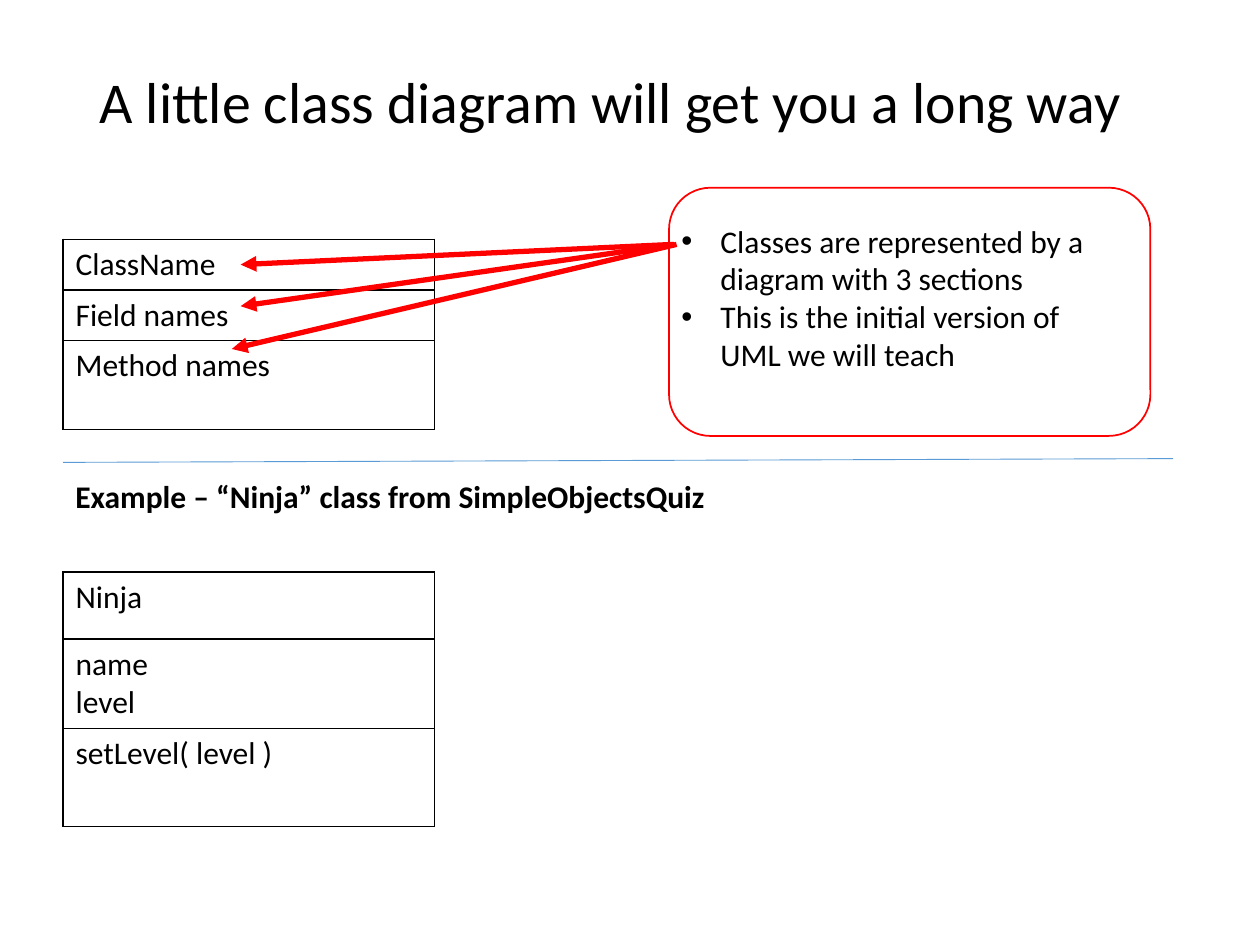
from dataclasses import dataclass

from lxml.etree import SubElement
from pptx import Presentation
from pptx.dml.color import RGBColor as RGB
from pptx.enum.shapes import MSO_CONNECTOR as CONN, MSO_SHAPE as SHAPE
from pptx.enum.text import MSO_ANCHOR as ANCHOR
from pptx.oxml.ns import qn
from pptx.util import Inches, Pt


@dataclass(frozen=True)
class Theme:
    font: str = "Calibri"
    ink: RGB = RGB(0, 0, 0)
    red: RGB = RGB(0xFF, 0, 0)
    blue: RGB = RGB(0x5B, 0x9B, 0xD5)
    title: Pt = Pt(33)
    body: Pt = Pt(18)


T = Theme()


def write(tf, lines, size=T.body, bold=False, bullet=False):
    """Fill a text frame with one paragraph per line."""
    tf.word_wrap = True
    for i, line in enumerate(lines):
        p = tf.paragraphs[0] if i == 0 else tf.add_paragraph()
        if bullet:
            pPr = p._p.get_or_add_pPr()
            pPr.set("marL", str(Inches(0.31)))
            pPr.set("indent", str(-Inches(0.31)))
            SubElement(pPr, qn("a:buFont")).set("typeface", "Arial")
            SubElement(pPr, qn("a:buChar")).set("char", "•")
        r = p.add_run()
        r.text = line
        for name, value in {"name": T.font, "size": size, "bold": bold}.items():
            setattr(r.font, name, value)
        r.font.color.rgb = T.ink


def connect(start, end, color, width, arrow=False):
    """Draw a straight line, with an optional arrowhead at its end."""
    c = s.shapes.add_connector(CONN.STRAIGHT, *map(Inches, start + end))
    c.line.color.rgb = color
    c.line.width = Pt(width)
    if arrow:
        SubElement(c.line._get_or_add_ln(), qn("a:tailEnd")).set("type", "triangle")
    SubElement(c._element.spPr, qn("a:effectLst"))


prs = Presentation()
prs.slide_width, prs.slide_height = Inches(10), Inches(7.5)
s = prs.slides.add_slide(prs.slide_layouts[6])

# Title, callout text and example heading
texts = [
    ((0.69, 0.4, 8.62, 0.86), ["A little class diagram will get you a long way"],
     {"size": T.title}),
    ((5.31, 1.71, 3.45, 1.31), ["Classes are represented by a diagram with 3 sections",
                                "This is the initial version of UML we will teach"],
     {"bullet": True}),
    ((0.5, 3.74, 5.97, 0.4), ["Example – “Ninja” class from SimpleObjectsQuiz"],
     {"bold": True}),
]
for box, lines, style in texts:
    tf = s.shapes.add_textbox(*map(Inches, box)).text_frame
    write(tf, lines, **style)
    if style.get("size") == T.title:
        tf.vertical_anchor = ANCHOR.MIDDLE
        tf.paragraphs[0].line_spacing = 0.9

# Class diagrams: top edge, then each section's height and lines
diagrams = [
    (4.54, [(0.53, ["Ninja"]), (0.71, ["name", "level"]), (0.78, ["setLevel( level )"])]),
    (1.9, [(0.4, ["ClassName"]), (0.4, ["Field names"]), (0.71, ["Method names"])]),
]
for top, sections in diagrams:
    height = sum(h for h, _ in sections)
    table = s.shapes.add_table(len(sections), 1, Inches(0.5), Inches(top),
                               Inches(2.95), Inches(height)).table
    table.first_row = table.horz_banding = False
    for i, (h, lines) in enumerate(sections):
        table.rows[i].height = Inches(h)
        cell = table.cell(i, 0)
        write(cell.text_frame, lines)
        tcPr = cell._tc.get_or_add_tcPr()
        for side in ("lnL", "lnR", "lnT", "lnB"):
            ln = SubElement(tcPr, qn(f"a:{side}"), w=str(Pt(1)))
            fill = SubElement(ln, qn("a:solidFill"))
            SubElement(fill, qn("a:srgbClr")).set("val", str(T.ink))
        cell.fill.background()

# Divider
connect((0.5, 3.67), (9.31, 3.64), T.blue, 0.5)

# Callout outline
callout = s.shapes.add_shape(SHAPE.ROUNDED_RECTANGLE, *map(Inches, (5.31, 1.49, 3.82, 1.97)))
callout.shadow.inherit = False
callout.fill.background()
callout.line.color.rgb = T.red
callout.line.width = Pt(1)

# Arrows from the callout to the three sections
for x, end in [(5.34, (1.91, 2.1)), (5.35, (1.91, 2.43)), (5.37, (1.84, 2.77))]:
    connect((x, 1.94), end, T.red, 3, arrow=True)

prs.save("out.pptx")
